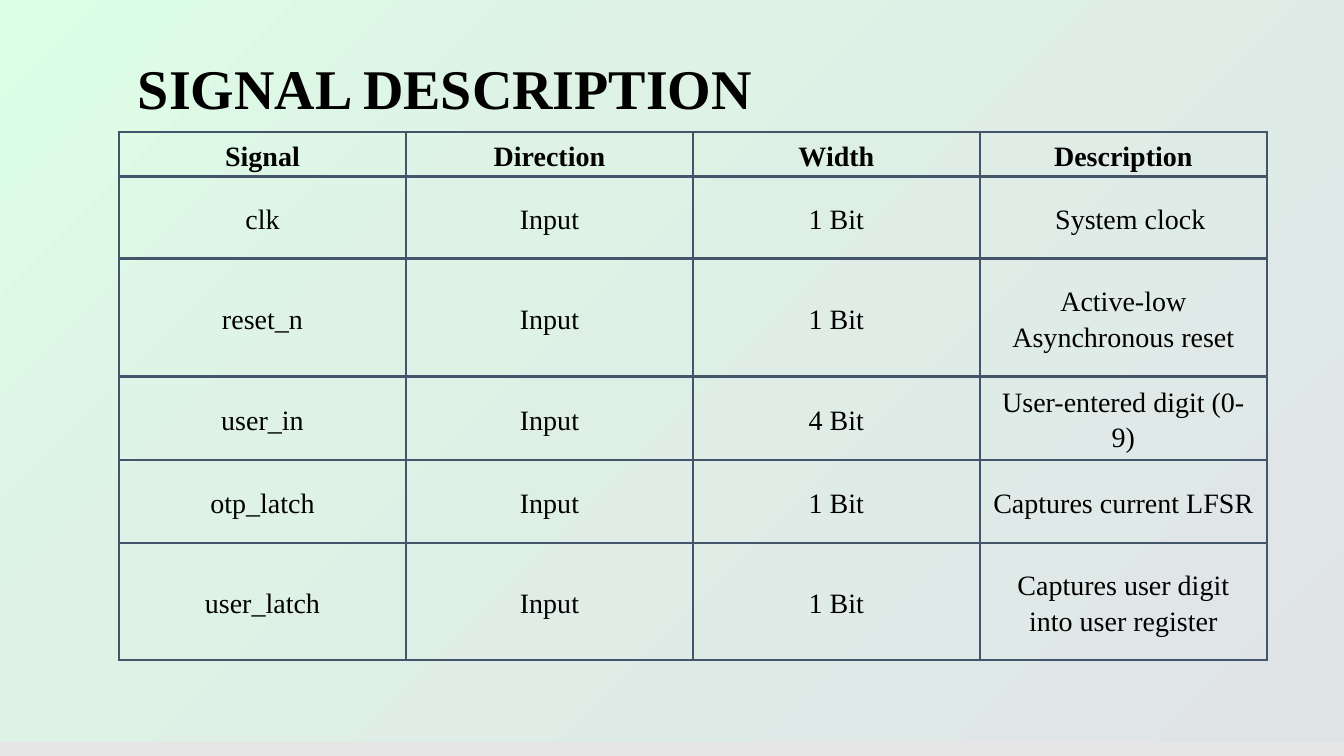
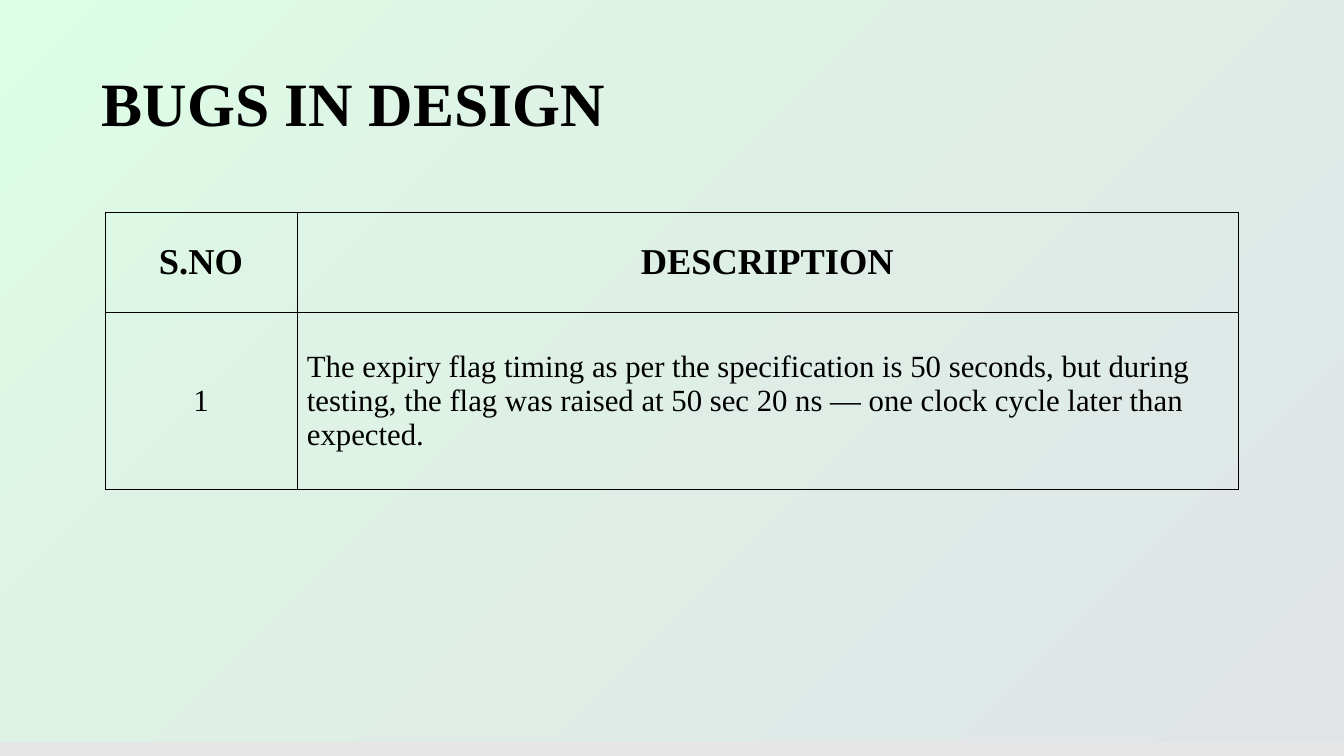
from pptx import Presentation
from pptx.dml.color import RGBColor
from pptx.enum.shapes import MSO_SHAPE
from pptx.enum.text import MSO_ANCHOR, PP_ALIGN
from pptx.oxml import parse_xml
from pptx.oxml.ns import nsdecls
from pptx.util import Pt

RECTANGLE = MSO_SHAPE.RECTANGLE
MIDDLE = MSO_ANCHOR.MIDDLE
LEFT, CENTER = PP_ALIGN.LEFT, PP_ALIGN.CENTER

BLACK = RGBColor(0x00, 0x00, 0x00)
SLATE = RGBColor(0x44, 0x54, 0x6A)
BAND_GREY = RGBColor(0xE7, 0xE6, 0xE6)
MIST = RGBColor(0xE0, 0xE4, 0xE7)
PALE_GREEN = RGBColor(0xDE, 0xF2, 0xE6)
MINT = RGBColor(0xDC, 0xFF, 0xE5)
GRADIENT = [(0, MIST), (67, PALE_GREEN), (100, MINT)]

FONT = "Times New Roman"
WIDTH, HEIGHT = 1344, 756
BAND_TOP = 742

SIGNALS = [
    ("Signal", "Direction", "Width", "Description"),
    ("clk", "Input", "1 Bit", "System clock"),
    ("reset_n", "Input", "1 Bit", "Active-low Asynchronous reset"),
    ("user_in", "Input", "4 Bit", "User-entered digit (0-9)"),
    ("otp_latch", "Input", "1 Bit", "Captures current LFSR"),
    ("user_latch", "Input", "1 Bit", "Captures user digit into user register"),
]
BUGS = [
    ("S.NO", "DESCRIPTION"),
    ("1", "The expiry flag timing as per the specification is 50 seconds, "
          "but during testing, the flag was raised at 50 sec 20 ns — "
          "one clock cycle later than expected."),
]


def px(length):
    return round(length * 914400 / 100.8)


class Deck:
    """Holds the shared style and the current slide."""

    def __init__(self):
        self.prs = Presentation()
        self.prs.slide_width, self.prs.slide_height = px(WIDTH), px(HEIGHT)
        self.slide = None
        self.set_background()

    def set_background(self):
        master = self.prs.slide_master
        fill = master.background.fill
        fill.gradient()
        fill.gradient_angle = 135
        stops = master.element.xpath("./p:cSld/p:bg//a:gsLst")[0]
        for stop in list(stops):
            stops.remove(stop)
        for percent, color in GRADIENT:
            stops.append(parse_xml(
                f'<a:gs {nsdecls("a")} pos="{percent * 1000}">'
                f'<a:srgbClr val="{color}"/></a:gs>'))

    def new_slide(self):
        self.slide = self.prs.slides.add_slide(self.prs.slide_layouts[6])
        band = self.slide.shapes.add_shape(
            RECTANGLE, 0, px(BAND_TOP), px(WIDTH), px(HEIGHT - BAND_TOP))
        band.shadow.inherit = False
        band.fill.solid()
        band.fill.fore_color.rgb = BAND_GREY
        band.line.fill.background()

    def add_text(self, frame, text, size, bold, align, spacing):
        paragraph = frame.paragraphs[0]
        paragraph.alignment = align
        paragraph.line_spacing = spacing
        run = paragraph.add_run()
        run.text = text
        run.font.name = FONT
        run.font.size = Pt(size)
        run.font.bold = bold
        run.font.color.rgb = BLACK

    def title(self, text, left, top, width, height, size):
        box = self.slide.shapes.add_textbox(
            px(left), px(top), px(width), px(height))
        box.text_frame.word_wrap = True
        box.text_frame.vertical_anchor = MIDDLE
        self.add_text(box.text_frame, text, size, True, LEFT, 0.9)

    def border(self, cell, color, width):
        properties = cell._tc.get_or_add_tcPr()
        for index, side in enumerate("LRTB"):
            properties.insert(index, parse_xml(
                f'<a:ln{side} {nsdecls("a")} w="{Pt(width)}"><a:solidFill>'
                f'<a:srgbClr val="{color}"/></a:solidFill></a:ln{side}>'))

    def table(self, rows, left, top, widths, heights, *, head_size, body_size,
              line, insets, spacing, last_align=CENTER):
        grid = self.slide.shapes.add_table(
            len(rows), len(widths), px(left), px(top),
            px(sum(widths)), px(sum(heights))).table
        grid.first_row = grid.horz_banding = False
        for column, width in zip(grid.columns, widths):
            column.width = px(width)
        for row, height in zip(grid.rows, heights):
            row.height = px(height)
        for r, texts in enumerate(rows):
            head = r == 0
            for c, text in enumerate(texts):
                cell = grid.cell(r, c)
                cell.fill.background()
                cell.vertical_anchor = MIDDLE
                cell.margin_left = cell.margin_right = px(insets[0])
                cell.margin_top = cell.margin_bottom = px(insets[1])
                self.border(cell, *line)
                last = c == len(texts) - 1
                align = last_align if last and not head else CENTER
                self.add_text(cell.text_frame, text,
                              head_size if head else body_size,
                              head, align, spacing)
        return grid


def main():
    deck = Deck()

    deck.new_slide()
    deck.title("SIGNAL DESCRIPTION", 128, 52, 1131, 79, 40)
    signals = deck.table(
        SIGNALS, 119, 132, [287] * 4, [42, 82, 118, 83, 83, 117],
        head_size=20, body_size=20, line=(SLATE, 2), insets=(4, 3),
        spacing=1.15)
    signals.cell(1, 3).margin_left = px(18)
    for r in range(2, len(SIGNALS)):
        description = signals.cell(r, 3)
        description.margin_left = description.margin_right = px(13)

    deck.new_slide()
    deck.title("BUGS IN DESIGN", 92, 46, 1207, 122, 44)
    deck.table(
        BUGS, 105, 212, [192, 941], [100, 178],
        head_size=26, body_size=22, line=(BLACK, 0.75), insets=(10, 10),
        spacing=1.0, last_align=LEFT)

    deck.prs.save("out.pptx")


if __name__ == "__main__":
    main()
